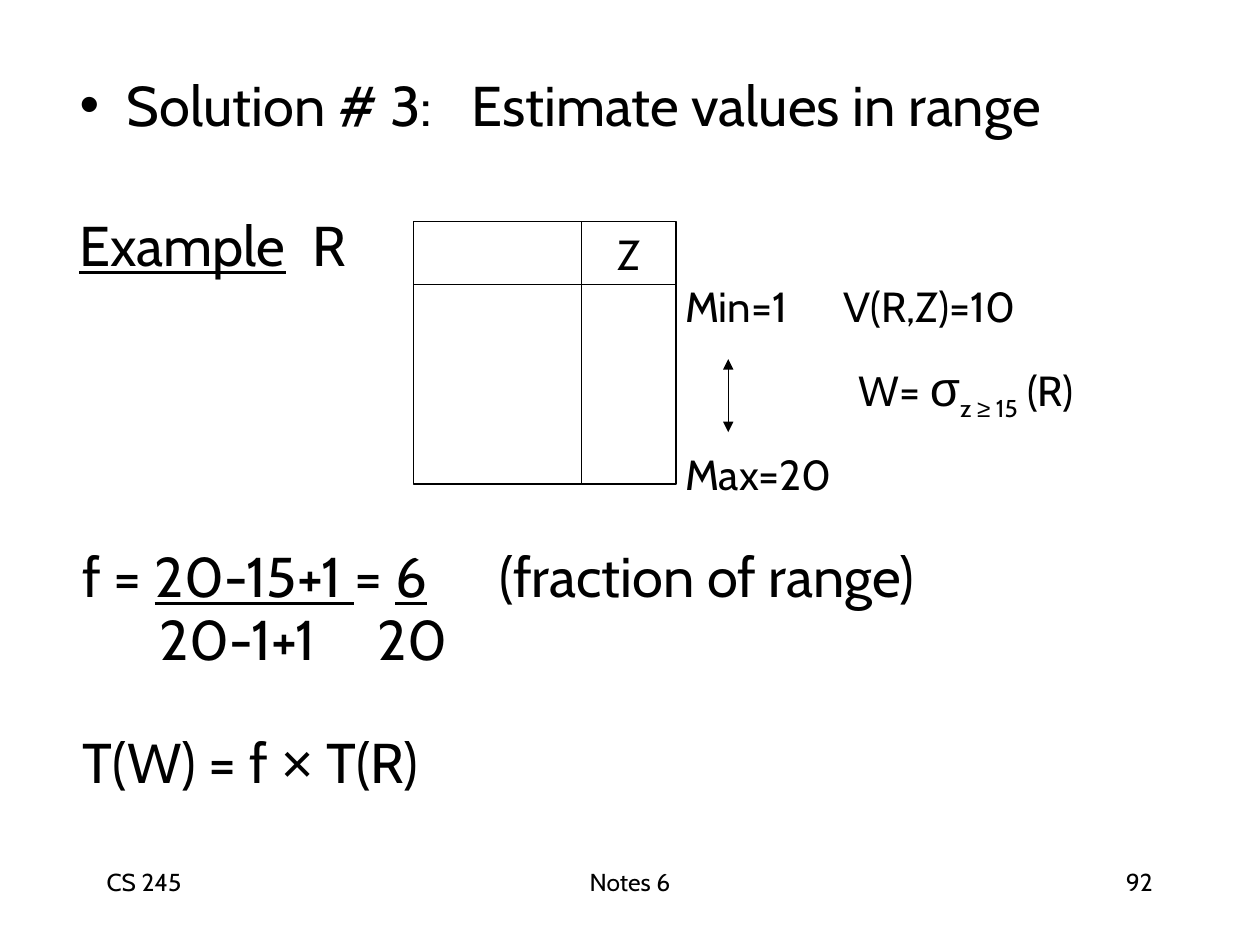
from lxml import etree
from pptx import Presentation
from pptx.dml.color import RGBColor
from pptx.enum.shapes import MSO_CONNECTOR, MSO_SHAPE
from pptx.enum.text import MSO_ANCHOR, MSO_AUTO_SIZE, PP_ALIGN
from pptx.oxml.ns import qn
from pptx.util import Cm, Pt

BLACK = RGBColor(0, 0, 0)
WHITE = RGBColor(255, 255, 255)
LEFT, CENTER, RIGHT = PP_ALIGN.LEFT, PP_ALIGN.CENTER, PP_ALIGN.RIGHT
TOP, MIDDLE = MSO_ANCHOR.TOP, MSO_ANCHOR.MIDDLE
NO_FIT = MSO_AUTO_SIZE.NONE
RECTANGLE = MSO_SHAPE.RECTANGLE
STRAIGHT = MSO_CONNECTOR.STRAIGHT
TITLE_ONLY = 5

FONT, SYMBOL_FONT = "Cabin", "Arial"
UNDERLINE = {"underline": True}
SYMBOL = {"name": SYMBOL_FONT}
SUBSCRIPT = {"baseline": -25000}


class SlideBuilder:
    """Holds the style and the current slide; all lengths are in centimetres."""

    def __init__(self, slide):
        self.slide = slide
        self.shapes = slide.shapes

    def paragraph(self, para, spans, size, align=LEFT, before=0, spacing=None,
                  tabs=(), bullet=None, hanging=0):
        """Fill para with (text, changes) spans; a plain string means no changes."""
        properties = para._p.get_or_add_pPr()
        if bullet:
            properties.set("marL", str(Cm(hanging)))
            properties.set("indent", str(-Cm(hanging)))
            etree.SubElement(properties, qn("a:buFont"), typeface=SYMBOL_FONT)
            etree.SubElement(properties, qn("a:buChar"), char=bullet)
        if tabs:
            stops = etree.SubElement(properties, qn("a:tabLst"))
            for position in tabs:
                etree.SubElement(stops, qn("a:tab"), pos=str(Cm(position)), algn="l")
        para.font.name, para.font.size = FONT, Pt(size)
        para.font.color.rgb = BLACK
        para.alignment = align
        para.space_before = Pt(before)
        if spacing:
            para.line_spacing = spacing
        for item in spans:
            text, changes = (item, {}) if isinstance(item, str) else item
            span = para.add_run()
            span.text = text
            for key, value in changes.items():
                if key in ("baseline", "spc"):
                    span._r.get_or_add_rPr().set(key, str(value))
                else:
                    setattr(span.font, key, value)

    def title(self, left, top, width, height, spans, size, **style):
        box = self.shapes.title
        box.left, box.top, box.width, box.height = map(Cm, (left, top, width, height))
        frame = box.text_frame
        frame.vertical_anchor, frame.auto_size = TOP, NO_FIT
        self.paragraph(frame.paragraphs[0], spans, size, **style)

    def text(self, left, top, width, height, size, *lines):
        """Add a text box; each line is (spans, paragraph style)."""
        box = self.shapes.add_textbox(*map(Cm, (left, top, width, height)))
        frame = box.text_frame
        frame.word_wrap = True
        for index, (spans, style) in enumerate(lines):
            para = frame.add_paragraph() if index else frame.paragraphs[0]
            self.paragraph(para, spans, size, **style)

    def cell(self, left, top, width, height, label=""):
        box = self.shapes.add_shape(RECTANGLE, *map(Cm, (left, top, width, height)))
        box.shadow.inherit = False
        box.fill.solid()
        box.fill.fore_color.rgb = WHITE
        box.line.color.rgb, box.line.width = BLACK, Pt(0.75)
        if label:
            frame = box.text_frame
            frame.word_wrap, frame.vertical_anchor = False, MIDDLE
            self.paragraph(frame.paragraphs[0], [label], 24, align=CENTER)

    def arrow(self, x, start, end):
        line = self.shapes.add_connector(STRAIGHT, Cm(x), Cm(start), Cm(x), Cm(end))
        line.line.color.rgb, line.line.width = BLACK, Pt(0.75)
        etree.SubElement(line.line._get_or_add_ln(), qn("a:tailEnd"), type="triangle")
        etree.SubElement(line._element.spPr, qn("a:effectLst"))


def main():
    deck = Presentation()
    deck.slide_width, deck.slide_height = Cm(25.4), Cm(19.05)
    page = SlideBuilder(deck.slides.add_slide(deck.slide_layouts[TITLE_ONLY]))

    page.title(1.35, 1.3, 21.59, 1.8,
               ["Solution # 3:", (" ", {"spc": 1500}), "Estimate values in range"],
               32, bullet="•", hanging=0.95)
    page.text(1.35, 4.12, 6.6, 1.6, 32,
              ([("Example", UNDERLINE), "\tR"], {"tabs": [4.7]}))

    columns = [(8.33, 3.39, ""), (11.72, 1.91, "Z")]
    header_top, header_height, body_height = 4.47, 1.27, 4.02
    for left, width, label in columns:
        page.cell(left, header_top, width, header_height, label)
        page.cell(left, header_top + header_height, width, body_height)

    page.text(13.56, 5.54, 10.52, 4.65, 24,
              (["Min=1\tV(R,Z)=10"], {"tabs": [3.2]}),
              (["\tW= ", ("σ", {**SYMBOL, "size": Pt(28)}), ("z ", SUBSCRIPT),
                ("≥", {**SYMBOL, **SUBSCRIPT}), (" 15", SUBSCRIPT), " (R)"],
               {"tabs": [3.5], "before": 15}),
              (["Max=20"], {"before": 15}))
    for end in (8.71, 7.24):
        page.arrow(14.68, 7.87, end)

    page.text(1.42, 10.8, 21.59, 6.2, 32,
              (["f = ", ("20-15+1 ", UNDERLINE), "= ", ("6", UNDERLINE),
                "\t(fraction of range)"], {"tabs": [8.4]}),
              (["\t20-1+1\t20"], {"tabs": [1.55, 5.95], "before": 8, "spacing": 0.7}),
              (["T(W) = f ", ("×", SYMBOL), " T(R)"], {"before": 43, "spacing": 0.7}))

    footers = [(1.9, 5.29, "CS 245", LEFT), (8.68, 8.04, "Notes 6", CENTER),
               (18.2, 5.29, "92", RIGHT)]
    for left, width, label, align in footers:
        page.text(left, 17.36, width, 1.27, 14, ([label], {"align": align}))

    deck.save("out.pptx")


if __name__ == "__main__":
    main()
